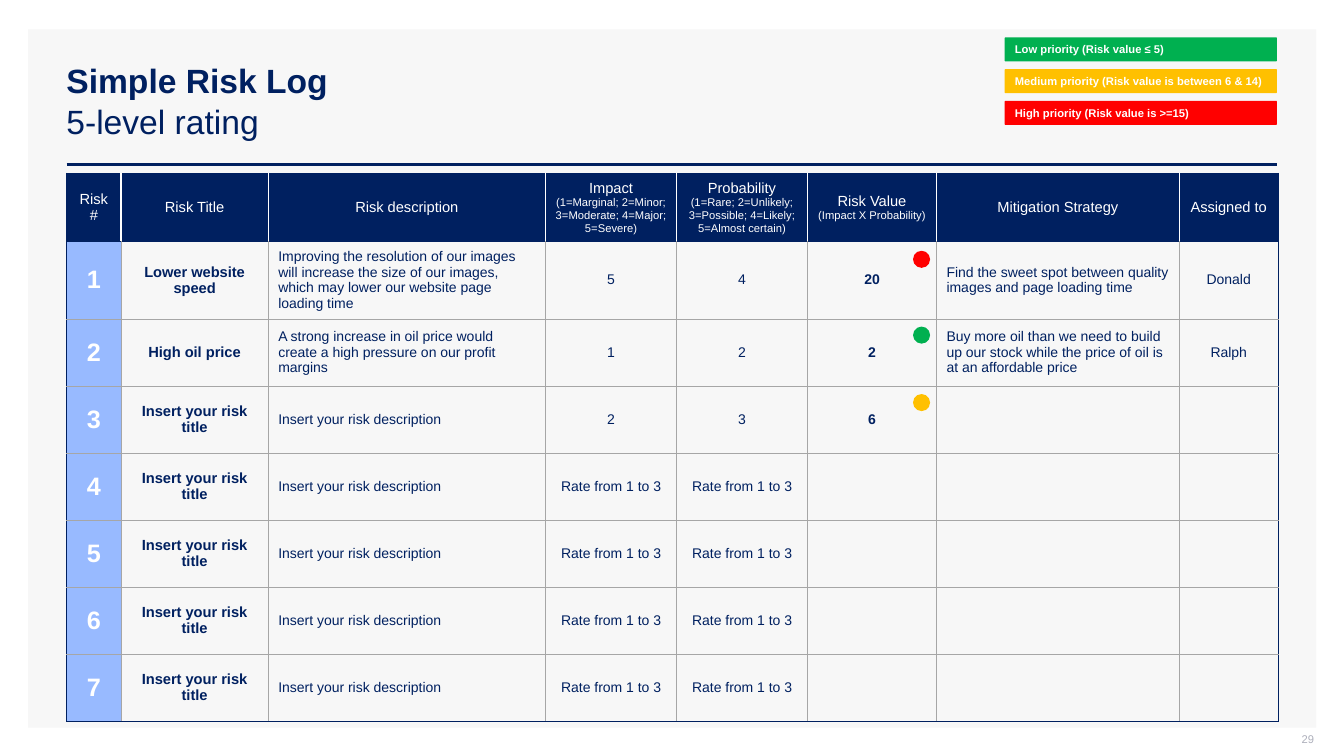
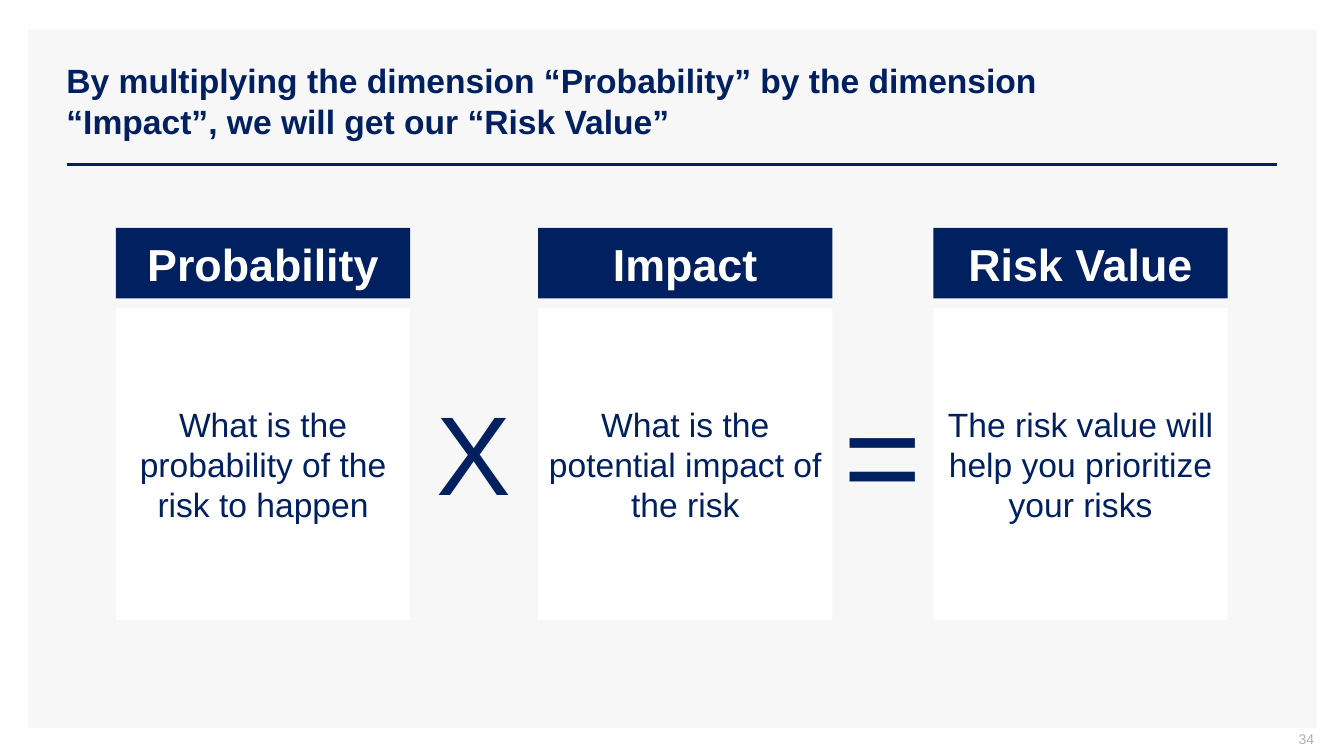
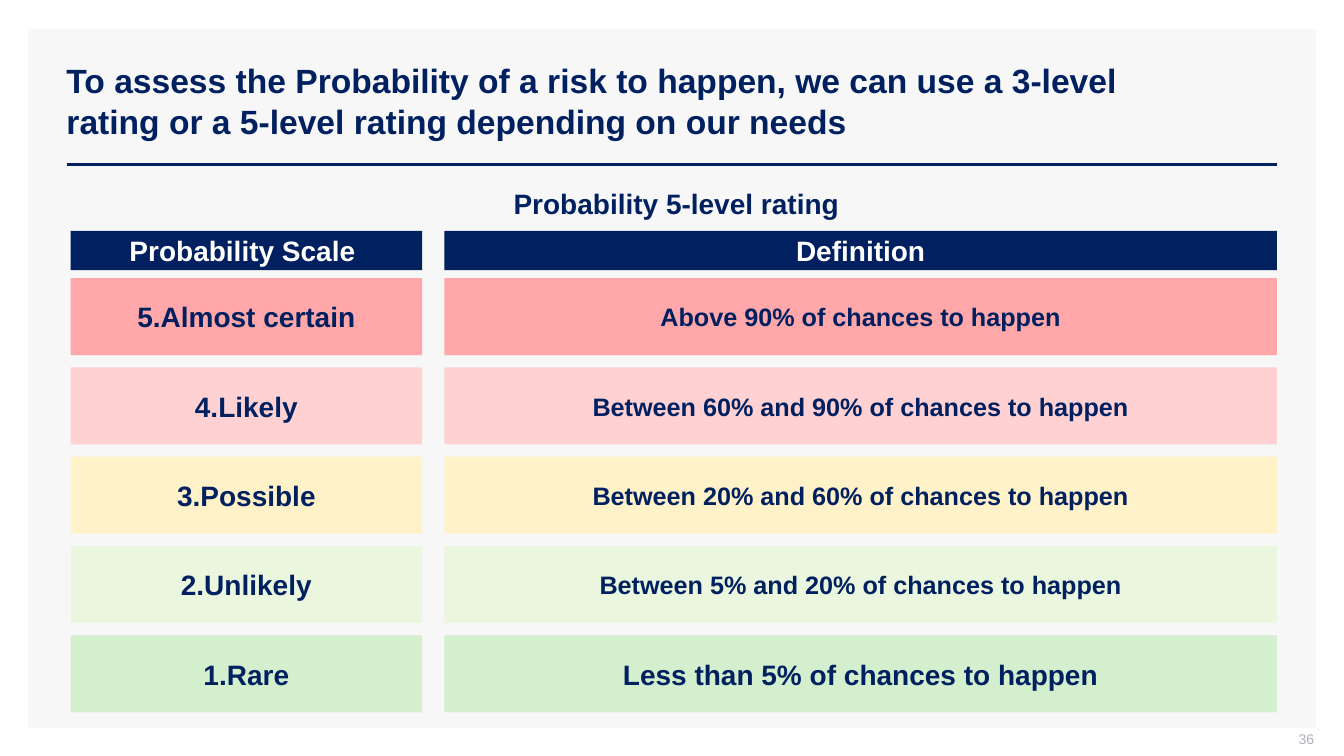
from lxml.etree import SubElement
from pptx import Presentation
from pptx.dml.color import RGBColor
from pptx.enum.shapes import MSO_CONNECTOR, MSO_SHAPE
from pptx.enum.text import MSO_ANCHOR, MSO_AUTO_SIZE, PP_ALIGN
from pptx.oxml import parse_xml
from pptx.oxml.ns import nsdecls, qn
from pptx.util import Cm, Pt

NAVY, WHITE, PANEL, GREY, BLUE = "002060", "FFFFFF", "F7F7F7", "A6A6A6", "98BAFF"
GREEN, AMBER, RED = "00B050", "FFC000", "FF0000"
LEFT, CENTER, RIGHT = PP_ALIGN.LEFT, PP_ALIGN.CENTER, PP_ALIGN.RIGHT
rgb = RGBColor.from_string


def write(tf, text, size, color=NAVY, bold=False, align=CENTER):
    """Fill a text frame: \\n starts a paragraph, \\v breaks a line."""
    tf.text = text
    fmt = {"name": "Arial", "size": Pt(size), "bold": bold}
    for p in tf.paragraphs:
        p.alignment = align
        for r in p.runs:
            for key, value in fmt.items():
                setattr(r.font, key, value)
            r.font.color.rgb = rgb(color)


def add_box(s, box, fill=None, kind=MSO_SHAPE.RECTANGLE):
    """Add a filled shape, or a text box when there is no fill."""
    box = [Cm(v) for v in box]
    if fill is None:
        sp = s.shapes.add_textbox(*box)
    else:
        sp = s.shapes.add_shape(kind, *box)
        sp.shadow.inherit = False
        sp.fill.solid()
        sp.fill.fore_color.rgb = rgb(fill)
        sp.line.fill.background()
        sp.text_frame.vertical_anchor = MSO_ANCHOR.MIDDLE
    sp.text_frame.word_wrap = True
    return sp


prs = Presentation()
prs.slide_width, prs.slide_height = Cm(33.87), Cm(19.05)

# Layout: keep only the title placeholder, at the deck's title size
layout = prs.slide_layouts[5]
for ph in list(layout.placeholders)[1:]:
    layout.shapes.element.remove(ph.element)
title_style = prs.slide_master.element.find(".//" + qn("p:titleStyle"))
title_style.find(".//" + qn("a:defRPr")).set("sz", "2400")

# Slides with title and page number: text, title width, number, number size
pages = [
    ("Simple Risk Log\v5-level rating", 30.76, "29", 8),
    ("By multiplying the dimension “Probability” by the dimension “Impact”, "
     "we will get our “Risk Value”", 29.01, "34", 10),
    ("To assess the Probability of a risk to happen, we can use a 3-level rating "
     "or a 5-level rating depending on our needs", 29.49, "36", 10),
]
for title, width, number, number_size in pages:
    s = prs.slides.add_slide(layout)
    sp = s.shapes.title
    sp.left, sp.top, sp.width, sp.height = Cm(1.42), Cm(1.02), Cm(width), Cm(3.02)
    tf = sp.text_frame
    tf.auto_size = MSO_AUTO_SIZE.NONE
    tf.vertical_anchor = MSO_ANCHOR.MIDDLE
    write(tf, title, 24, bold=True, align=LEFT)
    for r in tf.paragraphs[0].runs[1:]:
        r.font.bold = False

    tf = add_box(s, (25.5, 18.42, 7.62, 0.53)).text_frame
    tf.vertical_anchor = MSO_ANCHOR.MIDDLE
    tf.margin_top = tf.margin_right = 0
    tf.margin_bottom = Cm(0.13)
    write(tf, number, number_size, "ADAFBB", align=RIGHT)
log, formula, scale = prs.slides

# Panel and title rule, moved to the layout so that every slide shows them
panel = add_box(log, (0.71, 0.74, 32.46, 17.6), PANEL)
rule = log.shapes.add_connector(MSO_CONNECTOR.STRAIGHT, Cm(1.68), Cm(4.14), Cm(32.18), Cm(4.14))
rule.line.color.rgb = rgb(NAVY)
rule.line.width = Pt(2)
SubElement(rule.element.spPr, qn("a:effectLst"))
for i, sp in enumerate((panel, rule)):
    layout.shapes.element.insert(2 + i, sp.element)

# Risk log: table
header = [
    "Risk #", "Risk Title", "Risk description",
    "Impact\n(1=Marginal; 2=Minor; 3=Moderate; 4=Major; 5=Severe)",
    "Probability\n(1=Rare; 2=Unlikely; 3=Possible; 4=Likely; 5=Almost certain)",
    "Risk Value\n(Impact X Probability)", "Mitigation Strategy", "Assigned to",
]
new_title, new_text, rate = "Insert your risk title", "Insert your risk description", "Rate from 1 to 3"
rows = [
    header,
    ["1", "Lower website speed",
     "Improving the resolution of our images will increase the size of our images, "
     "which may lower our website page loading time", "5", "4", "20",
     "Find the sweet spot between quality images and page loading time", "Donald"],
    ["2", "High oil price",
     "A strong increase in oil price would create a high pressure on our profit margins",
     "1", "2", "2",
     "Buy more oil than we need to build up our stock while the price of oil is "
     "at an affordable price", "Ralph"],
    ["3", new_title, new_text, "2", "3", "6", "", ""],
]
rows += [[str(n), new_title, new_text, rate, rate, "", "", ""] for n in range(4, 8)]
col_widths = [1.37, 3.71, 6.99, 3.3, 3.3, 3.25, 6.12, 2.49]
row_height = 1.69
n_rows, n_cols = len(rows), len(col_widths)

table = log.shapes.add_table(n_rows, n_cols, Cm(1.68), Cm(4.37), Cm(sum(col_widths)),
                             Cm(row_height * n_rows)).table
table.first_row = table.horz_banding = False
for col, width in zip(table.columns, col_widths):
    col.width = Cm(width)

body_format = {0: {"size": 18, "color": WHITE, "bold": True},
               1: {"size": 10.5, "bold": True},
               2: {"size": 10, "align": LEFT},
               5: {"size": 10, "bold": True},
               6: {"size": 10, "align": LEFT}}
for r, row in enumerate(rows):
    table.rows[r].height = Cm(row_height)
    for c, text in enumerate(row):
        cell = table.cell(r, c)
        cell.vertical_anchor = MSO_ANCHOR.MIDDLE
        fill = NAVY if r == 0 else BLUE if c == 0 else None
        if fill:
            cell.fill.solid()
            cell.fill.fore_color.rgb = rgb(fill)
        else:
            cell.fill.background()
        if r == 0:
            write(cell.text_frame, text, 10.5, WHITE)
            for p in cell.text_frame.paragraphs[1:]:
                p.runs[0].font.size = Pt(8)
        elif text:
            write(cell.text_frame, text, **body_format.get(c, {"size": 10}))

        # Borders: navy frame and header edge, white header dividers, grey inside
        inner = WHITE if r == 0 else GREY
        sides = [("L", NAVY if c == 0 else inner),
                 ("R", NAVY if c == n_cols - 1 else inner),
                 ("T", NAVY if r in (0, 1) else GREY),
                 ("B", NAVY if r in (0, n_rows - 1) else GREY)]
        tcPr = cell._tc.get_or_add_tcPr()
        for i, (side, color) in enumerate(sides):
            width = Pt(0.5 if color == GREY else 1)
            tcPr.insert(i, parse_xml(
                f'<a:ln{side} {nsdecls("a")} w="{width}"><a:solidFill>'
                f'<a:srgbClr val="{color}"/></a:solidFill></a:ln{side}>'))

# Risk log: priority legend
legend = [("Low priority (Risk value ≤ 5)", GREEN),
          ("Medium priority (Risk value is between 6 & 14)", AMBER),
          ("High priority (Risk value is >=15)", RED)]
for i, (text, color) in enumerate(legend):
    sp = add_box(log, (25.32, 0.94 + 0.8 * i, 6.86, 0.61), color, MSO_SHAPE.ROUNDED_RECTANGLE)
    sp.adjustments[0] = 0.04
    write(sp.text_frame, text, 8, WHITE, True, LEFT)

# Risk log: priority dots
for top, color in [(6.32, RED), (8.23, GREEN), (9.93, AMBER)]:
    add_box(log, (23.01, top, 0.43, 0.43), color, MSO_SHAPE.OVAL)

# Formula: three cards
cards = [(2.92, "Probability", "What is the probability of the risk to happen"),
         (13.56, "Impact", "What is the potential impact of the risk"),
         (23.52, "Risk Value", "The risk value will help you prioritize your risks")]
for left, name, text in cards:
    sp = add_box(formula, (left, 5.74, 7.42, 1.78), NAVY)
    write(sp.text_frame, name, 32, WHITE, True)
    sp = add_box(formula, (left, 7.77, 7.42, 7.85), WHITE)
    write(sp.text_frame, text, 24)

# Formula: signs between the cards
for sign, size, box in [("X", 80, (8.53, 9.55, 6.83, 3.68)), ("=", 96, (18.82, 9.19, 6.83, 4.37))]:
    write(add_box(formula, box).text_frame, sign, size)

# Scale: subtitle, header row and five levels
sp = add_box(scale, (9.27, 4.57, 15.75, 1.12))
write(sp.text_frame, "Probability 5-level rating ", 20, bold=True)

levels = [("5.Almost certain", "Above 90% of chances to happen", 18, "FFA7A9"),
          ("4.Likely", "Between 60% and 90% of chances to happen", 18, "FFD1D2"),
          ("3.Possible", "Between 20% and 60% of chances to happen", 18, "FFF2C9"),
          ("2.Unlikely", "Between 5% and 20% of chances to happen", 18, "EBF6DE"),
          ("1.Rare", "Less than 5% of chances to happen", 20, "D3EFCE")]
bands = [(5.82, 0.99, "Probability Scale ", "Definition", 20, NAVY, WHITE)]
bands += [(7.01 + 2.25 * i, 1.94, *level, NAVY) for i, level in enumerate(levels)]
for top, height, name, definition, size, fill, color in bands:
    for left, width, text, pts in [(1.78, 8.86, name, 20), (11.2, 20.98, definition, size)]:
        sp = add_box(scale, (left, top, width, height), fill)
        write(sp.text_frame, text, pts, color, True)

prs.save("out.pptx")
